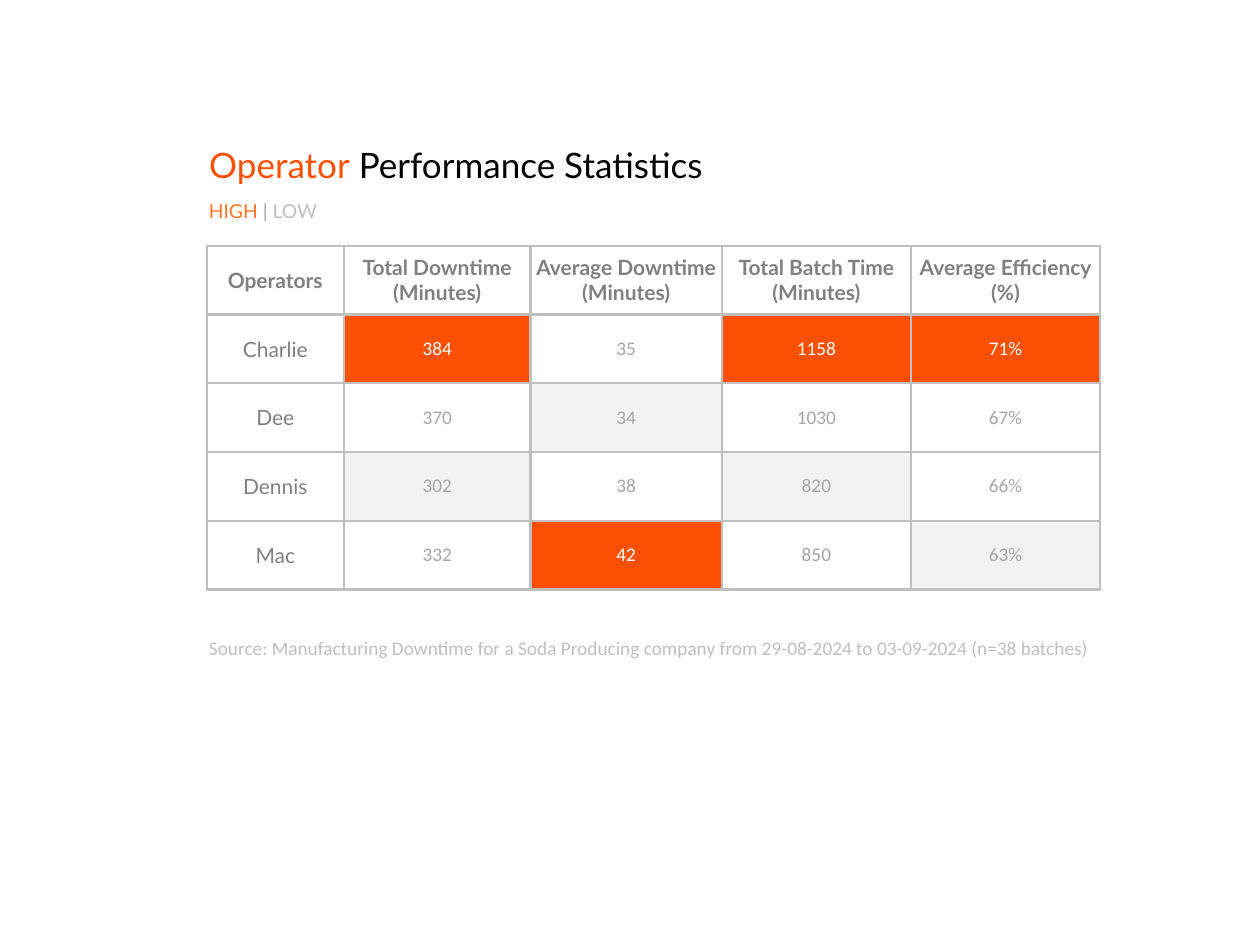
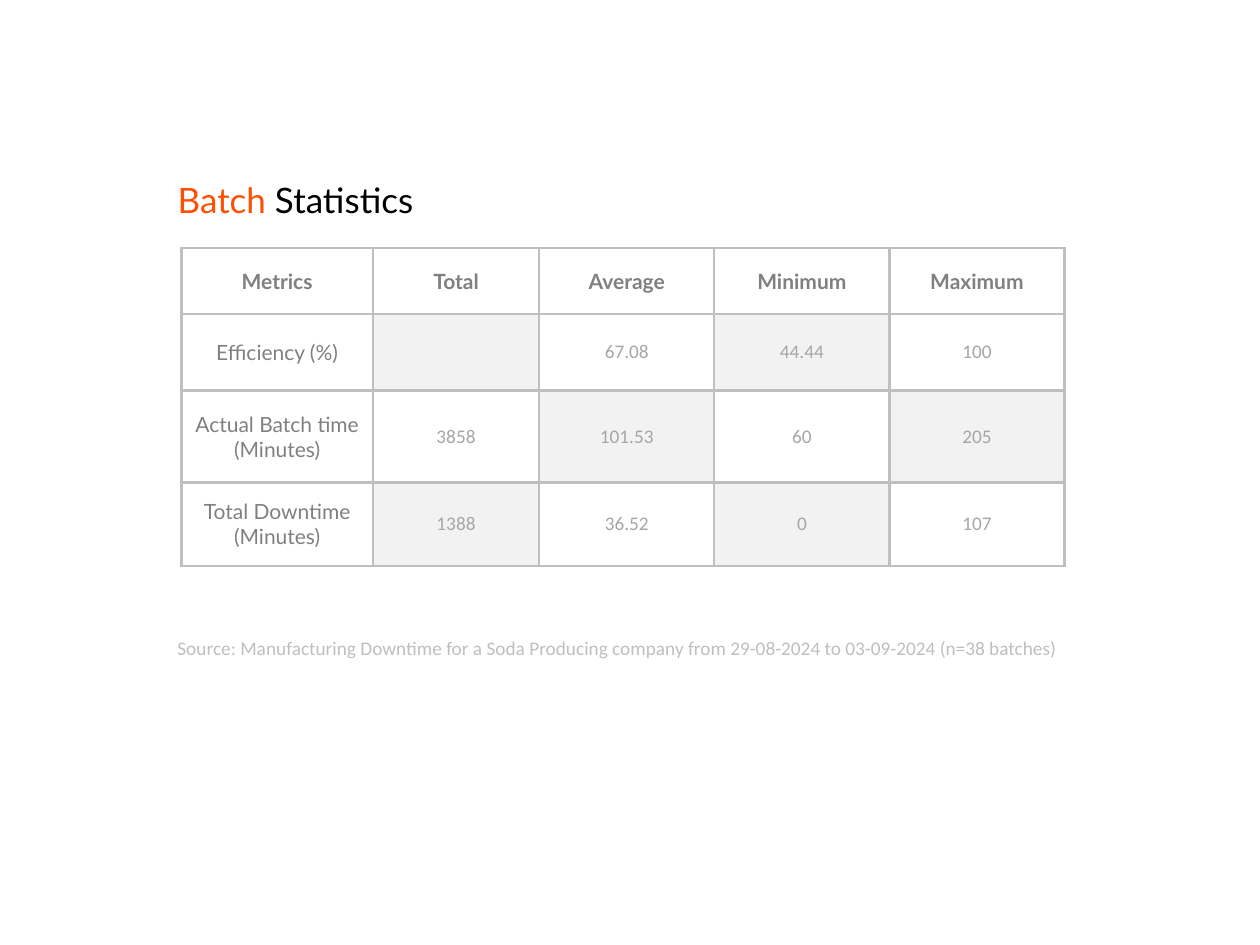
"""Build two statistics slides, each with a title, a bordered table and a source line."""
import dataclasses
import typing

import lxml.etree
import pptx
import pptx.dml.color
import pptx.enum.text
import pptx.oxml.ns
import pptx.util

Inches = pptx.util.Inches
Pt = pptx.util.Pt

COLORS = {
    "accent": "FC5104",
    "high": "F87524",
    "black": "000000",
    "white": "FFFFFF",
    "heading": "808080",
    "value": "A6A6A6",
    "line": "BFBFBF",
    "shade": "F2F2F2",
}
HEADING_FONT = "Lato"
VALUE_FONT = "Calibri"
BORDER_WIDTH = Pt(1.5)
SOURCE_TOP = 5
SOURCE_TEXT = (
    "Source: Manufacturing Downtime for a Soda Producing company "
    "from 29-08-2024 to 03-09-2024 (n=38 batches)"
)
TITLE_LAYOUT = 5

Shades = dict[tuple[int, int], str]


class Box(typing.NamedTuple):
    left: float
    top: float
    width: float
    height: float


class TextRun(typing.NamedTuple):
    text: str
    color: str
    size: float = 11
    font: str = HEADING_FONT
    bold: bool = False


@dataclasses.dataclass
class StatisticsTable:
    left: float
    top: float
    column_widths: list[float]
    row_heights: list[float]
    rows: list[list[str]]
    shades: Shades
    closing_row: bool = False


@dataclasses.dataclass
class StatisticsSlide:
    subject: str
    title_rest: str
    text_left: float
    title_top: float
    source_width: float
    table: StatisticsTable
    legend: list[TextRun] = dataclasses.field(default_factory=list)


def shade_extremes(rows: list[list[str]]) -> Shades:
    """Mark the highest value of each column with the accent and the lowest with grey."""
    shades: Shades = {}
    for column in range(1, len(rows[0])):
        values = {row: float(rows[row][column].rstrip("%")) for row in range(1, len(rows))}
        shades[max(values, key=values.get), column] = "accent"
        shades[min(values, key=values.get), column] = "shade"
    return shades


def shade_checkerboard(rows: list[list[str]]) -> Shades:
    """Mark every second value cell with grey."""
    return {
        (row, column): "shade"
        for row in range(1, len(rows))
        for column in range(1, len(rows[0]))
        if (row + column) % 2 == 0
    }


def rgb(color: str) -> pptx.dml.color.RGBColor:
    """Return the named colour."""
    return pptx.dml.color.RGBColor.from_string(COLORS[color])


def add_run(paragraph, text_run: TextRun) -> None:
    """Append one formatted run to a paragraph."""
    run = paragraph.add_run()
    run.text = text_run.text
    run.font.name = text_run.font
    run.font.size = Pt(text_run.size)
    run.font.bold = text_run.bold
    run.font.color.rgb = rgb(text_run.color)


def write_text(shape, runs: list[TextRun]) -> None:
    """Write left-aligned runs at the top of a shape."""
    frame = shape.text_frame
    frame.word_wrap = True
    frame.auto_size = pptx.enum.text.MSO_AUTO_SIZE.NONE
    frame.vertical_anchor = pptx.enum.text.MSO_ANCHOR.TOP
    paragraph = frame.paragraphs[0]
    paragraph.alignment = pptx.enum.text.PP_ALIGN.LEFT
    for text_run in runs:
        add_run(paragraph, text_run)


def add_title(slide, box: Box, runs: list[TextRun]) -> None:
    """Move the title placeholder into place and fill it."""
    title = slide.shapes.title
    title.left, title.top, title.width, title.height = map(Inches, box)
    write_text(title, runs)


def add_text(slide, box: Box, runs: list[TextRun]) -> None:
    """Add a text box."""
    write_text(slide.shapes.add_textbox(*map(Inches, box)), runs)


def set_borders(cell, visible_sides: str = "LRTB") -> None:
    """Draw the given sides of a cell and hide the others."""
    properties = cell._tc.get_or_add_tcPr()
    qn = pptx.oxml.ns.qn
    for side in "LRTB":
        line = lxml.etree.SubElement(properties, qn(f"a:ln{side}"), w=str(BORDER_WIDTH))
        if side in visible_sides:
            fill = lxml.etree.SubElement(line, qn("a:solidFill"))
            lxml.etree.SubElement(fill, qn("a:srgbClr"), val=COLORS["line"])
        else:
            lxml.etree.SubElement(line, qn("a:noFill"))


def cell_run(text: str, row: int, column: int, shade: str | None) -> TextRun:
    """Return the run for a header, a row label or a value."""
    if row == 0 or column == 0:
        return TextRun(text, "heading", 12, bold=row == 0)
    return TextRun(text, "white" if shade == "accent" else "value", font=VALUE_FONT)


def format_cell(cell, text: str, row: int, column: int, shade: str | None) -> None:
    """Border, fill and write one table cell."""
    set_borders(cell)
    if shade:
        cell.fill.solid()
        cell.fill.fore_color.rgb = rgb(shade)
    else:
        cell.fill.background()
    cell.margin_left = cell.margin_right = cell.margin_top = cell.margin_bottom = 0
    cell.vertical_anchor = pptx.enum.text.MSO_ANCHOR.MIDDLE
    if text:
        paragraph = cell.text_frame.paragraphs[0]
        paragraph.alignment = pptx.enum.text.PP_ALIGN.CENTER
        add_run(paragraph, cell_run(text, row, column, shade))


def add_closing_row(table) -> None:
    """Merge the last row into one open cell below the values."""
    last_row = len(table.rows) - 1
    last_column = len(table.columns) - 1
    table.cell(last_row, 0).merge(table.cell(last_row, last_column))
    for column in range(last_column + 1):
        cell = table.cell(last_row, column)
        set_borders(cell, "T")
        cell.fill.background()


def add_statistics_table(slide, statistics: StatisticsTable) -> None:
    """Add a table of labels and shaded values."""
    box = Box(
        statistics.left,
        statistics.top,
        sum(statistics.column_widths),
        sum(statistics.row_heights),
    )
    table = slide.shapes.add_table(
        len(statistics.row_heights), len(statistics.column_widths), *map(Inches, box)
    ).table
    table.first_row = False
    table.horz_banding = False
    for column, width in zip(table.columns, statistics.column_widths):
        column.width = Inches(width)
    for row, height in zip(table.rows, statistics.row_heights):
        row.height = Inches(height)
    for row_index, texts in enumerate(statistics.rows):
        for column_index, text in enumerate(texts):
            shade = statistics.shades.get((row_index, column_index))
            cell = table.cell(row_index, column_index)
            format_cell(cell, text, row_index, column_index, shade)
    if statistics.closing_row:
        add_closing_row(table)


def add_statistics_slide(presentation, content: StatisticsSlide) -> None:
    """Add one slide with title, optional legend, table and source."""
    slide = presentation.slides.add_slide(presentation.slide_layouts[TITLE_LAYOUT])
    left = content.text_left
    add_title(
        slide,
        Box(left, content.title_top, 6.88, 0.44),
        [TextRun(content.subject, "accent", 20), TextRun(content.title_rest, "black", 20)],
    )
    add_statistics_table(slide, content.table)
    if content.legend:
        add_text(slide, Box(left, content.title_top + 0.44, 1.33, 0.22), content.legend)
    add_text(
        slide,
        Box(left, SOURCE_TOP, content.source_width, 0.31),
        [TextRun(SOURCE_TEXT, "line", font=VALUE_FONT)],
    )


OPERATOR_ROWS = [
    [
        "Operators",
        "Total Downtime (Minutes)",
        "Average Downtime (Minutes)",
        "Total Batch Time (Minutes)",
        "Average Efficiency (%)",
    ],
    ["Charlie", "384", "35", "1158", "71%"],
    ["Dee", "370", "34", "1030", "67%"],
    ["Dennis", "302", "38", "820", "66%"],
    ["Mac", "332", "42", "850", "63%"],
]
BATCH_ROWS = [
    ["Metrics", "Total", "Average", "Minimum", "Maximum"],
    ["Efficiency (%)", "", "67.08", "44.44", "100"],
    ["Actual Batch time (Minutes)", "3858", "101.53", "60", "205"],
    ["Total Downtime (Minutes)", "1388", "36.52", "0", "107"],
]
SLIDES = [
    StatisticsSlide(
        subject="Operator",
        title_rest=" Performance Statistics",
        text_left=1.56,
        title_top=1.09,
        source_width=7.42,
        table=StatisticsTable(
            left=1.64,
            top=1.95,
            column_widths=[1.09, 1.48, 1.52, 1.5, 1.5],
            row_heights=[2.73 / len(OPERATOR_ROWS)] * len(OPERATOR_ROWS),
            rows=OPERATOR_ROWS,
            shades=shade_extremes(OPERATOR_ROWS),
        ),
        legend=[TextRun("HIGH ", "high"), TextRun("| ", "value"), TextRun("LOW", "line")],
    ),
    StatisticsSlide(
        subject="Batch",
        title_rest=" Statistics",
        text_left=1.31,
        title_top=1.37,
        source_width=7.56,
        table=StatisticsTable(
            left=1.44,
            top=1.97,
            column_widths=[1.52, 1.32, 1.39, 1.39, 1.39],
            row_heights=[0.52, 0.61, 0.73, 0.66, 0.52],
            rows=BATCH_ROWS,
            shades=shade_checkerboard(BATCH_ROWS),
            closing_row=True,
        ),
    ),
]


def main() -> None:
    """Build and save the presentation."""
    presentation = pptx.Presentation()
    presentation.slide_width = Inches(10)
    presentation.slide_height = Inches(7.5)
    for content in SLIDES:
        add_statistics_slide(presentation, content)
    presentation.save("out.pptx")


if __name__ == "__main__":
    main()
